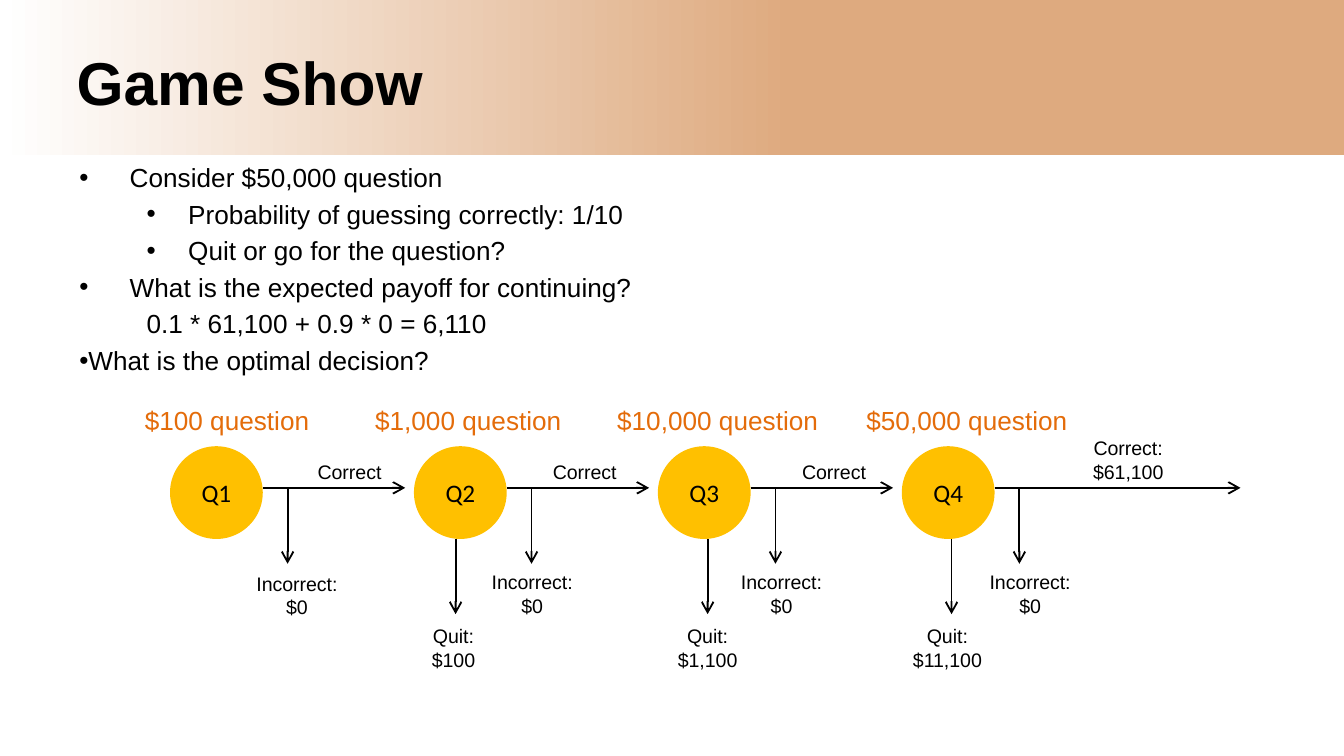
from dataclasses import dataclass

import pptx
import pptx.dml.color
import pptx.enum.shapes
import pptx.enum.text
import pptx.oxml.ns
import pptx.util
from lxml import etree

EMU_PER_PX = 4572
SLIDE_WIDTH, SLIDE_HEIGHT = 2000, 1125
COLORS = {
    "text": "000000",
    "band_start": "FFFFFF",
    "band_end": "DEAA7F",
    "node": "FFC000",
    "prize": "E46C0A",
}
ALIGN = pptx.enum.text.PP_ALIGN
SHAPE = pptx.enum.shapes.MSO_SHAPE
MIDDLE = pptx.enum.text.MSO_ANCHOR.MIDDLE
AUTO_SIZE = pptx.enum.text.MSO_AUTO_SIZE

FIRST_NODE_LEFT, NODE_PITCH, NODE_TOP, NODE_SIZE = 253, 363, 664, 138
ARROW_Y, ARROW_LENGTH, LAST_ARROW_LENGTH = 726, 212, 366
INCORRECT_OFFSET, INCORRECT_END = 175, 839
QUIT_START, QUIT_END = 802, 914


@dataclass(frozen=True)
class Bullet:
    text: str
    level: int = 0
    margin: int = 75
    indent: int = -75
    marked: bool = True


@dataclass(frozen=True)
class Label:
    lines: tuple[str, ...]
    left: int
    top: int
    width: int
    height: int
    size: float = 10.5
    color: str = "text"
    align: ALIGN = ALIGN.CENTER
    wrap: bool = False


@dataclass(frozen=True)
class Stage:
    name: str
    prize: Label
    correct: Label
    incorrect: Label
    quit: Label | None = None
    quit_x: int = 0


def prize(text: str, left: int, width: int) -> Label:
    return Label((text,), left, 592, width, 68, 14, "prize", wrap=True)


def correct(left: int) -> Label:
    return Label(("Correct",), left, 675, 138, 56, align=ALIGN.LEFT)


def incorrect(left: int, top: int = 839) -> Label:
    return Label(("Incorrect:", "$0"), left, top, 164, 90)


def quit_with(amount: str, left: int, width: int) -> Label:
    return Label(("Quit:", amount), left, 919, width, 90)


BULLETS = [
    Bullet("Consider $50,000 question"),
    Bullet("Probability of guessing correctly: 1/10", 1, 162, -62),
    Bullet("Quit or go for the question?", 1, 162, -62),
    Bullet("What is the expected payoff for continuing?"),
    Bullet("0.1 * 61,100 + 0.9 * 0 = 6,110", 1, 162, -62, False),
    Bullet("What is the optimal decision?", margin=2),
]
STAGES = [
    Stage("Q1", prize("$100 question", 191, 294), correct(453), incorrect(360, 841)),
    Stage("Q2", prize("$1,000 question", 529, 336), correct(803), incorrect(710),
          quit_with("$100", 622, 106), 678),
    Stage("Q3", prize("$10,000 question", 887, 362), correct(1174), incorrect(1081),
          quit_with("$1,100", 988, 130), 1053),
    Stage("Q4", prize("$50,000 question", 1242, 394),
          Label(("Correct:", "$61,100"), 1525, 639, 308, 90, wrap=True),
          incorrect(1451), quit_with("$11,100", 1336, 148), 1416),
]


def px(length: int) -> pptx.util.Emu:
    return pptx.util.Emu(length * EMU_PER_PX)


def rgb(name: str) -> pptx.dml.color.RGBColor:
    return pptx.dml.color.RGBColor.from_string(COLORS[name])


def place(shape, left: int, top: int, width: int, height: int) -> None:
    shape.left, shape.top = px(left), px(top)
    shape.width, shape.height = px(width), px(height)


def add_run(paragraph, text: str, size: float, color: str = "text",
            font: str = "Arial", bold: bool = False) -> None:
    run = paragraph.add_run()
    run.text = text
    run.font.name = font
    run.font.size = pptx.util.Pt(size)
    run.font.bold = bold
    run.font.color.rgb = rgb(color)


def next_paragraph(frame, index: int):
    return frame.add_paragraph() if index else frame.paragraphs[0]


def add_band(slide) -> None:
    band = slide.shapes.add_shape(
        SHAPE.RECTANGLE, px(0), px(0), px(SLIDE_WIDTH), px(230))
    band.shadow.inherit = False
    band.line.fill.background()
    band.fill.gradient()
    band.fill.gradient_angle = 0
    stops = zip(band.fill.gradient_stops, (0, 0.59), ("band_start", "band_end"))
    for stop, position, color in stops:
        stop.position = position
        stop.color.rgb = rgb(color)
    band.element.getparent().insert(2, band.element)


def fill_title(title) -> None:
    place(title, 94, 56, 1350, 130)
    frame = title.text_frame
    frame.auto_size = AUTO_SIZE.NONE
    frame.vertical_anchor = MIDDLE
    frame.paragraphs[0].alignment = ALIGN.LEFT
    add_run(frame.paragraphs[0], "Game Show", 32.4, bold=True)


def fill_body(body, bullets: list[Bullet]) -> None:
    place(body, 98, 230, 1858, 780)
    frame = body.text_frame
    frame.auto_size = AUTO_SIZE.NONE
    for index, bullet in enumerate(bullets):
        paragraph = next_paragraph(frame, index)
        paragraph.level = bullet.level
        paragraph.space_before = pptx.util.Pt(2.8 if index else 0)
        properties = paragraph._p.get_or_add_pPr()
        properties.set("marL", str(px(bullet.margin)))
        properties.set("indent", str(px(bullet.indent)))
        if bullet.marked:
            etree.SubElement(properties, pptx.oxml.ns.qn("a:buFont"), typeface="Arial")
            etree.SubElement(properties, pptx.oxml.ns.qn("a:buChar"), char="•")
        else:
            etree.SubElement(properties, pptx.oxml.ns.qn("a:buNone"))
        add_run(paragraph, bullet.text, 14)


def add_node(slide, name: str, left: int) -> None:
    node = slide.shapes.add_shape(
        SHAPE.OVAL, px(left), px(NODE_TOP), px(NODE_SIZE), px(NODE_SIZE))
    node.shadow.inherit = False
    node.fill.solid()
    node.fill.fore_color.rgb = rgb("node")
    node.line.fill.background()
    node.text_frame.vertical_anchor = MIDDLE
    node.text_frame.paragraphs[0].alignment = ALIGN.CENTER
    add_run(node.text_frame.paragraphs[0], name, 13.5, font="Calibri")


def add_arrow(slide, x1: int, y1: int, x2: int, y2: int) -> None:
    arrow = slide.shapes.add_connector(
        pptx.enum.shapes.MSO_CONNECTOR.STRAIGHT, px(x1), px(y1), px(x2), px(y2))
    arrow.line.color.rgb = rgb("text")
    arrow.line.width = pptx.util.Pt(1)
    etree.SubElement(arrow.line._get_or_add_ln(), pptx.oxml.ns.qn("a:tailEnd"), type="arrow")
    etree.SubElement(arrow.element.spPr, pptx.oxml.ns.qn("a:effectLst"))


def add_label(slide, label: Label) -> None:
    box = slide.shapes.add_textbox(
        px(label.left), px(label.top), px(label.width), px(label.height))
    frame = box.text_frame
    frame.word_wrap = label.wrap
    frame.auto_size = AUTO_SIZE.SHAPE_TO_FIT_TEXT
    for index, line in enumerate(label.lines):
        paragraph = next_paragraph(frame, index)
        paragraph.alignment = label.align
        add_run(paragraph, line, label.size, label.color)


def add_stage(slide, stage: Stage, left: int, arrow_length: int) -> None:
    add_node(slide, stage.name, left)
    right = left + NODE_SIZE
    branch = left + INCORRECT_OFFSET
    add_arrow(slide, right, ARROW_Y, right + arrow_length, ARROW_Y)
    add_arrow(slide, branch, ARROW_Y, branch, INCORRECT_END)
    for label in (stage.prize, stage.correct, stage.incorrect):
        add_label(slide, label)
    if stage.quit:
        add_arrow(slide, stage.quit_x, QUIT_START, stage.quit_x, QUIT_END)
        add_label(slide, stage.quit)


def main() -> None:
    deck = pptx.Presentation()
    deck.slide_width, deck.slide_height = px(SLIDE_WIDTH), px(SLIDE_HEIGHT)
    slide = deck.slides.add_slide(deck.slide_layouts[1])
    add_band(slide)
    fill_title(slide.shapes.title)
    fill_body(slide.placeholders[1], BULLETS)
    for index, stage in enumerate(STAGES):
        length = LAST_ARROW_LENGTH if stage is STAGES[-1] else ARROW_LENGTH
        add_stage(slide, stage, FIRST_NODE_LEFT + index * NODE_PITCH, length)
    deck.save("out.pptx")


if __name__ == "__main__":
    main()
